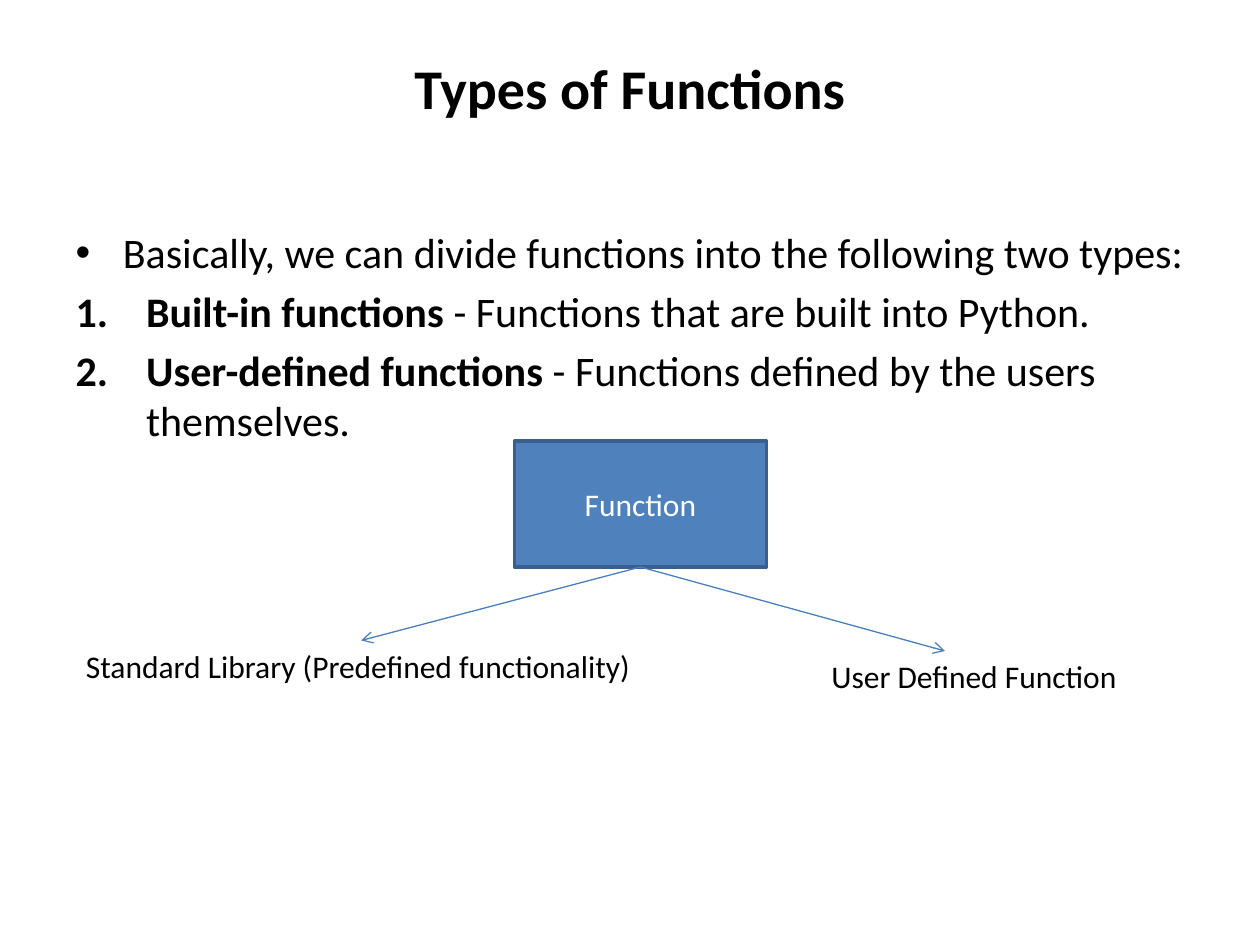
"""Build the "Types of Functions" slide: a short list above a small tree."""
from typing import NamedTuple

from lxml import etree
from pptx import Presentation
from pptx import util as u
from pptx.dml.color import RGBColor
from pptx.enum import shapes, text
from pptx.oxml.ns import qn

COLORS = {"ink": "000000", "paper": "FFFFFF", "box": "4F81BD",
          "border": "3A5F8C", "arrow": "4B7EBC"}
FONT = "Calibri"
COLUMNS, ROWS = 120, 90
SLIDE_WIDTH, SLIDE_HEIGHT = u.Inches(10), u.Inches(7.5)


class Area(NamedTuple):
    column: float
    row: float
    columns: float
    rows: float


class Item(NamedTuple):
    term: str
    body: str
    numbered: bool


class Branch(NamedTuple):
    label: str
    area: Area
    tip: tuple[float, float]


TITLE_AREA = Area(6, 3.6, 108, 9.4)
LIST_AREA = Area(6, 21, 108, 59.4)
ROOT_AREA = Area(49, 42, 24, 12)
ITEMS = [
    Item("", "Basically, we can divide functions into the following two types:", False),
    Item("Built-in functions ", "- Functions that are built into Python.", True),
    Item("User-defined functions ", "- Functions defined by the users themselves.", True),
]
BRANCHES = [
    Branch("Standard Library (Predefined functionality)", Area(7, 61, 55, 4.8), (34.4, 61)),
    Branch("User Defined Function", Area(78, 62, 30, 4.8), (90, 62)),
]


def across(columns: float) -> int:
    return round(SLIDE_WIDTH * columns / COLUMNS)


def down(rows: float) -> int:
    return round(SLIDE_HEIGHT * rows / ROWS)


def place(area: Area) -> tuple[int, int, int, int]:
    return across(area.column), down(area.row), across(area.columns), down(area.rows)


def move(shape, area: Area) -> None:
    shape.left, shape.top, shape.width, shape.height = place(area)


def color(name: str) -> RGBColor:
    return RGBColor.from_string(COLORS[name])


def style(span, size: float, ink: str = "ink", bold: bool = False) -> None:
    span.font.name = FONT
    span.font.size = u.Pt(size)
    span.font.bold = bold
    span.font.color.rgb = color(ink)


def write(shape, words: str, size: float, ink: str = "ink", bold: bool = False,
          align=text.PP_ALIGN.CENTER) -> None:
    shape.text_frame.text = words
    para = shape.text_frame.paragraphs[0]
    para.alignment = align
    style(para.runs[0], size, ink, bold)


def number(para) -> None:
    properties = para._p.get_or_add_pPr()
    properties.set("marL", str(u.Inches(0.56)))
    properties.set("indent", str(-u.Inches(0.56)))
    etree.SubElement(properties, qn("a:buFont"), typeface="+mj-lt")
    etree.SubElement(properties, qn("a:buAutoNum"), type="arabicPeriod")


def fill_list(body, items: list[Item]) -> None:
    frame = body.text_frame
    for index, item in enumerate(items):
        para = frame.add_paragraph() if index else frame.paragraphs[0]
        if item.numbered:
            number(para)
        for words, bold in ((item.term, True), (item.body, False)):
            if words:
                span = para.add_run()
                span.text = words
                style(span, 24, bold=bold)


def add_root(page, words: str, area: Area):
    box = page.shapes.add_shape(shapes.MSO_SHAPE.RECTANGLE, *place(area))
    box.shadow.inherit = False
    box.fill.solid()
    box.fill.fore_color.rgb = color("box")
    box.line.color.rgb = color("border")
    box.line.width = u.Pt(2)
    box.text_frame.vertical_anchor = text.MSO_ANCHOR.MIDDLE
    write(box, words, 18, "paper")
    return box


def add_branch(page, root, branch: Branch) -> None:
    column, row = branch.tip
    arrow = page.shapes.add_connector(
        shapes.MSO_CONNECTOR.STRAIGHT, 0, 0, across(column), down(row))
    arrow.begin_connect(root, 2)
    arrow.line.color.rgb = color("arrow")
    arrow.line.width = u.Pt(0.75)
    etree.SubElement(arrow.line._get_or_add_ln(), qn("a:tailEnd"), type="arrow")
    etree.SubElement(arrow._element.spPr, qn("a:effectLst"))

    label = page.shapes.add_textbox(*place(branch.area))
    label.text_frame.word_wrap = False
    label.text_frame.auto_size = text.MSO_AUTO_SIZE.SHAPE_TO_FIT_TEXT
    write(label, branch.label, 18, align=text.PP_ALIGN.LEFT)


def main() -> None:
    deck = Presentation()
    deck.slide_width, deck.slide_height = SLIDE_WIDTH, SLIDE_HEIGHT
    page = deck.slides.add_slide(deck.slide_layouts[1])

    title, body = page.placeholders
    move(title, TITLE_AREA)
    write(title, "Types of Functions", 32, bold=True)
    title.text_frame.vertical_anchor = text.MSO_ANCHOR.MIDDLE
    move(body, LIST_AREA)
    fill_list(body, ITEMS)

    root = add_root(page, "Function", ROOT_AREA)
    for branch in BRANCHES:
        add_branch(page, root, branch)
    deck.save("out.pptx")


if __name__ == "__main__":
    main()
